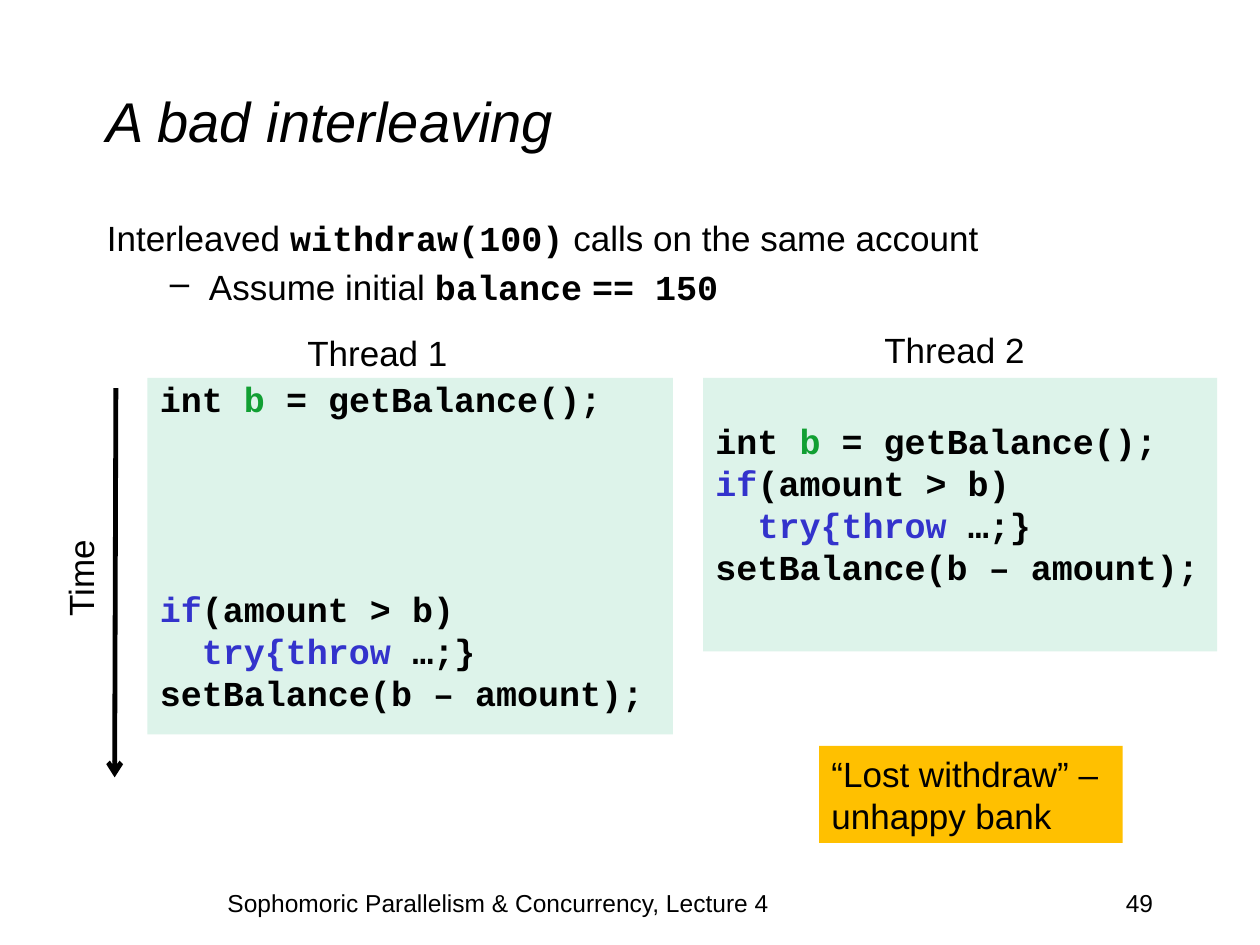
from pptx import Presentation
from pptx.dml.color import RGBColor
from pptx.enum.shapes import MSO_CONNECTOR, MSO_SHAPE
from pptx.enum.text import MSO_ANCHOR, PP_ALIGN
from pptx.oxml.ns import qn
from pptx.util import Inches, Pt
from lxml import etree

BLACK = RGBColor(0x00, 0x00, 0x00)
GREEN = RGBColor(0x11, 0x9F, 0x33)
BLUE = RGBColor(0x33, 0x33, 0xCC)
MINT = RGBColor(0xDD, 0xF3, 0xEA)
AMBER = RGBColor(0xFF, 0xC0, 0x00)
LEFT, CENTER, RIGHT = PP_ALIGN.LEFT, PP_ALIGN.CENTER, PP_ALIGN.RIGHT
TOP, MIDDLE = MSO_ANCHOR.TOP, MSO_ANCHOR.MIDDLE
RECTANGLE, STRAIGHT = MSO_SHAPE.RECTANGLE, MSO_CONNECTOR.STRAIGHT
SANS, MONO = "Arial", "Courier New"

TITLE = "A bad interleaving"
INTRO = [("Interleaved ", SANS), ("withdraw(100)", MONO), (" calls on the same account", SANS)]
ASSUMPTION = [("Assume initial ", SANS), ("balance", MONO), (" ", SANS), ("== 150", MONO)]
READ_BALANCE = [("int ", BLACK), ("b", GREEN), (" = getBalance();", BLACK)]
UPDATE_BALANCE = [
    [("if", BLUE), ("(amount > b)", BLACK)],
    [("  ", BLACK), ("try{throw ", BLUE), ("…;}", BLACK)],
    [("setBalance(b – amount);", BLACK)],
]
CODE = [READ_BALANCE] + UPDATE_BALANCE
THREADS = [
    {"area": (1.17, 3, 4.17, 2.83), "delay": 0, "pause": 4},
    {"area": (5.58, 3, 4.08, 2.17), "delay": 1, "pause": 0},
]
LABELS = [
    ("Thread 1", (2.34, 2.58, 1.32, 0.44), 0),
    ("Thread 2", (6.92, 2.56, 1.32, 0.44), 0),
    ("Time", (0.23, 4.36, 0.82, 0.44), 270),
]
FOOTERS = [
    ("49", (7.17, 7, 2.08, 0.5), RIGHT),
    ("Sophomoric Parallelism & Concurrency, Lecture 4", (0.83, 7, 6.25, 0.5), CENTER),
]
VERDICT = ["“Lost withdraw” –", "unhappy bank"]
LINE_PITCH, LINE_GAP = 20, 4

deck = Presentation()
deck.slide_width, deck.slide_height = Inches(10), Inches(7.5)
page = deck.slides.add_slide(deck.slide_layouts[6])


def add_box(area, fill=None, anchor=TOP, wrap=True):
    place = [Inches(length) for length in area]
    if fill is None:
        box = page.shapes.add_textbox(*place)
    else:
        box = page.shapes.add_shape(RECTANGLE, *place)
        box.shadow.inherit = False
        box.fill.solid()
        box.fill.fore_color.rgb = fill
        box.line.fill.background()
    box.text_frame.word_wrap = wrap
    box.text_frame.vertical_anchor = anchor
    return box


def add_para(box, index, align=LEFT, before=0):
    frame = box.text_frame
    para = frame.add_paragraph() if index else frame.paragraphs[0]
    para.alignment = align
    para.space_before = Pt(before)
    return para


def add_span(para, text, size=20, font=SANS, color=BLACK, italic=False):
    span = para.add_run()
    span.text = text
    span.font.size, span.font.name = Pt(size), font
    span.font.bold, span.font.italic = font == MONO, italic
    span.font.color.rgb = color


title = add_box((0.75, 0.33, 8.5, 1.25), anchor=MIDDLE)
add_span(add_para(title, 0), TITLE, 32, italic=True)

body = add_box((0.75, 1.67, 8.5, 0.92))
for index, spans in enumerate([INTRO, ASSUMPTION]):
    para = add_para(body, index, before=LINE_GAP)
    for text, font in spans:
        add_span(para, text, font=font)
bullet_props = para._p.get_or_add_pPr()
bullet_props.set("marL", str(Inches(0.81)))
bullet_props.set("indent", str(Inches(-0.31)))
etree.SubElement(bullet_props, qn("a:buChar")).set("char", "–")

for text, area, align in FOOTERS:
    add_span(add_para(add_box(area), 0, align), text, 14)

for thread in THREADS:
    box = add_box(thread["area"], MINT)
    box.text_frame.margin_top = Inches(0.05) + Pt(thread["delay"] * (LINE_PITCH + LINE_GAP))
    for index, spans in enumerate(CODE):
        skipped = thread["pause"] if index == 1 else 0
        para = add_para(box, index, before=LINE_GAP + skipped * (LINE_PITCH + LINE_GAP))
        para.line_spacing = Pt(LINE_PITCH)
        for text, color in spans:
            add_span(para, text, font=MONO, color=color)

for text, area, rotation in LABELS:
    label = add_box(area, wrap=False)
    label.rotation = rotation
    add_span(add_para(label, 0), text)

time_arrow = page.shapes.add_connector(
    STRAIGHT, Inches(0.92), Inches(3.08), Inches(0.91), Inches(6.17))
time_arrow.line.color.rgb = BLACK
time_arrow.line.width = Pt(2.75)
etree.SubElement(time_arrow.line._get_or_add_ln(), qn("a:tailEnd")).set("type", "arrow")
etree.SubElement(time_arrow._element.spPr, qn("a:effectLst"))

verdict = add_box((6.5, 5.92, 2.41, 0.77), AMBER)
for index, text in enumerate(VERDICT):
    add_span(add_para(verdict, index), text)

deck.save("out.pptx")
